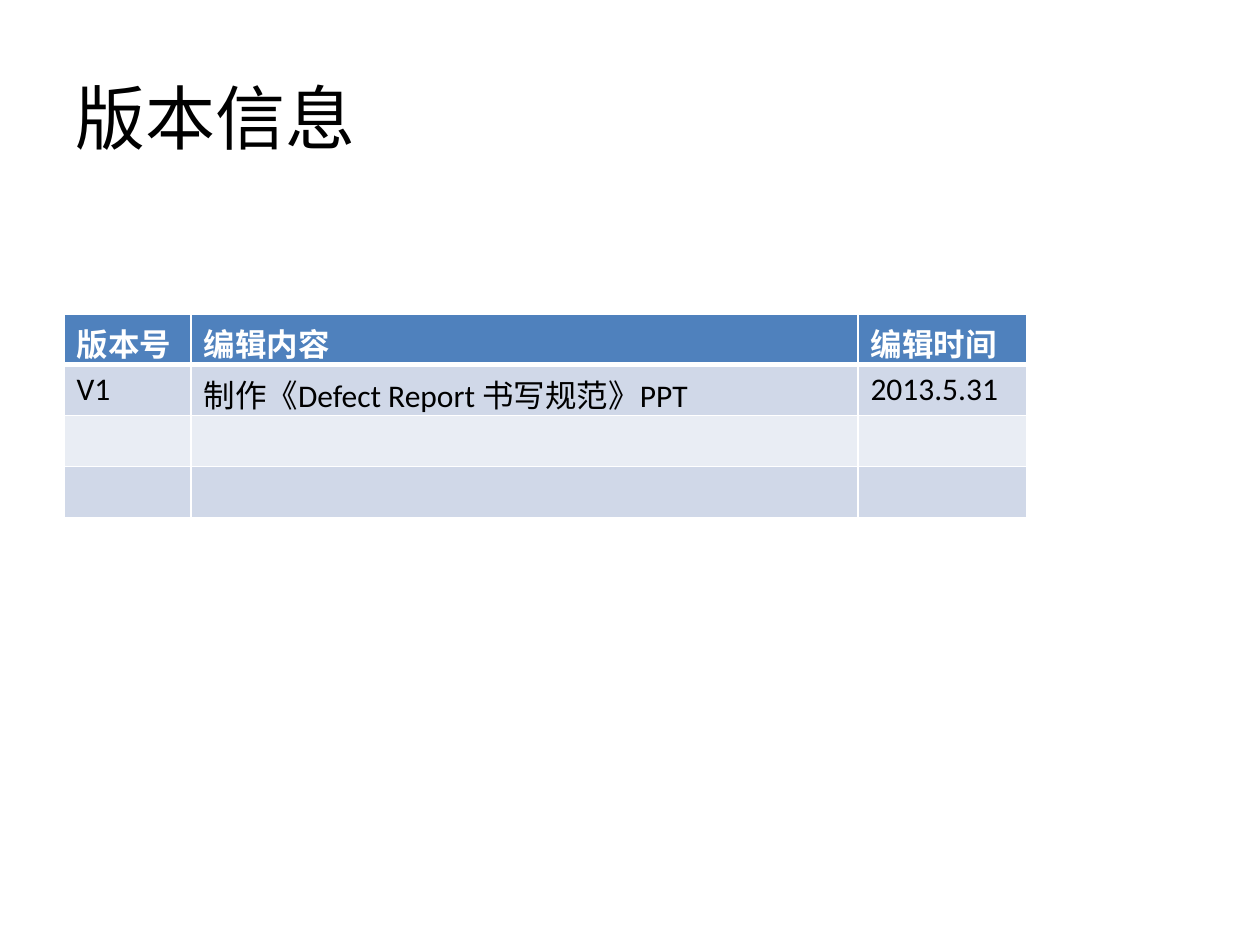
from typing import NamedTuple

from lxml import etree
from pptx import Presentation
from pptx.dml.color import RGBColor
from pptx.enum.text import MSO_ANCHOR
from pptx.oxml.ns import qn
from pptx.util import Emu, Pt

MIDDLE = MSO_ANCHOR.MIDDLE
PX = 914400 / 126
FONT = "Calibri"
BLACK = RGBColor(0x00, 0x00, 0x00)
WHITE = RGBColor(0xFF, 0xFF, 0xFF)
BLUE = RGBColor(0x4F, 0x81, 0xBD)
DARK = RGBColor(0xD0, 0xD8, 0xE8)
LIGHT = RGBColor(0xE9, 0xED, 0xF4)


class Box(NamedTuple):
    left: int
    top: int
    width: int
    height: int


class Row(NamedTuple):
    texts: tuple[str, ...]
    height: int
    fill: RGBColor
    color: RGBColor = BLACK
    bold: bool = False
    top: int = 1
    base: int = 1


PAGE = Box(0, 0, 1260, 945)
TITLE = Box(63, 38, 1134, 157)
WIDTHS = (127, 667, 169)
EMPTY = ("",) * len(WIDTHS)
ROWS = (
    Row(("版本号", "编辑内容", "编辑时间"), 45, BLUE, WHITE, True, base=3),
    Row(("V1", "制作《Defect Report 书写规范》PPT", "2013.5.31"), 51, DARK, top=3),
    Row(EMPTY, 51, LIGHT),
    Row(EMPTY, 51, DARK),
)
TABLE = Box(64, 314, sum(WIDTHS), sum(row.height for row in ROWS))


def px(count: int) -> Emu:
    return Emu(round(count * PX))


def place(box: Box) -> list[Emu]:
    return [px(side) for side in box]


def write(frame, text: str, *, size: int = 18, color: RGBColor = BLACK,
          bold: bool = False) -> None:
    para = frame.paragraphs[0]
    para.font.size = Pt(size)
    if not text:
        return
    run = para.add_run()
    run.text = text
    font = run.font
    font.name, font.size, font.bold = FONT, Pt(size), bold
    font.color.rgb = color


def edge(cell, top: int, base: int) -> None:
    """Give the cell white borders, with widths in points."""
    props = cell._tc.get_or_add_tcPr()
    sides = {"a:lnL": 1, "a:lnR": 1, "a:lnT": top, "a:lnB": base}
    for index, (tag, width) in enumerate(sides.items()):
        line = etree.Element(qn(tag), w=str(Pt(width)))
        fill = etree.SubElement(line, qn("a:solidFill"))
        etree.SubElement(fill, qn("a:srgbClr"), val=str(WHITE))
        props.insert(index, line)


def draw_title(slide) -> None:
    frame = slide.shapes.add_textbox(*place(TITLE)).text_frame
    frame.word_wrap = True
    frame.vertical_anchor = MIDDLE
    write(frame, "版本信息", size=40)


def draw_table(slide) -> None:
    table = slide.shapes.add_table(len(ROWS), len(WIDTHS), *place(TABLE)).table
    for column, width in zip(table.columns, WIDTHS):
        column.width = px(width)
    for line, row in zip(table.rows, ROWS):
        line.height = px(row.height)
        for cell, text in zip(line.cells, row.texts):
            cell.fill.solid()
            cell.fill.fore_color.rgb = row.fill
            edge(cell, row.top, row.base)
            write(cell.text_frame, text, color=row.color, bold=row.bold)


def main() -> None:
    deck = Presentation()
    deck.slide_width, deck.slide_height = px(PAGE.width), px(PAGE.height)
    slide = deck.slides.add_slide(deck.slide_layouts[6])
    draw_title(slide)
    draw_table(slide)
    deck.save("out.pptx")


if __name__ == "__main__":
    main()
